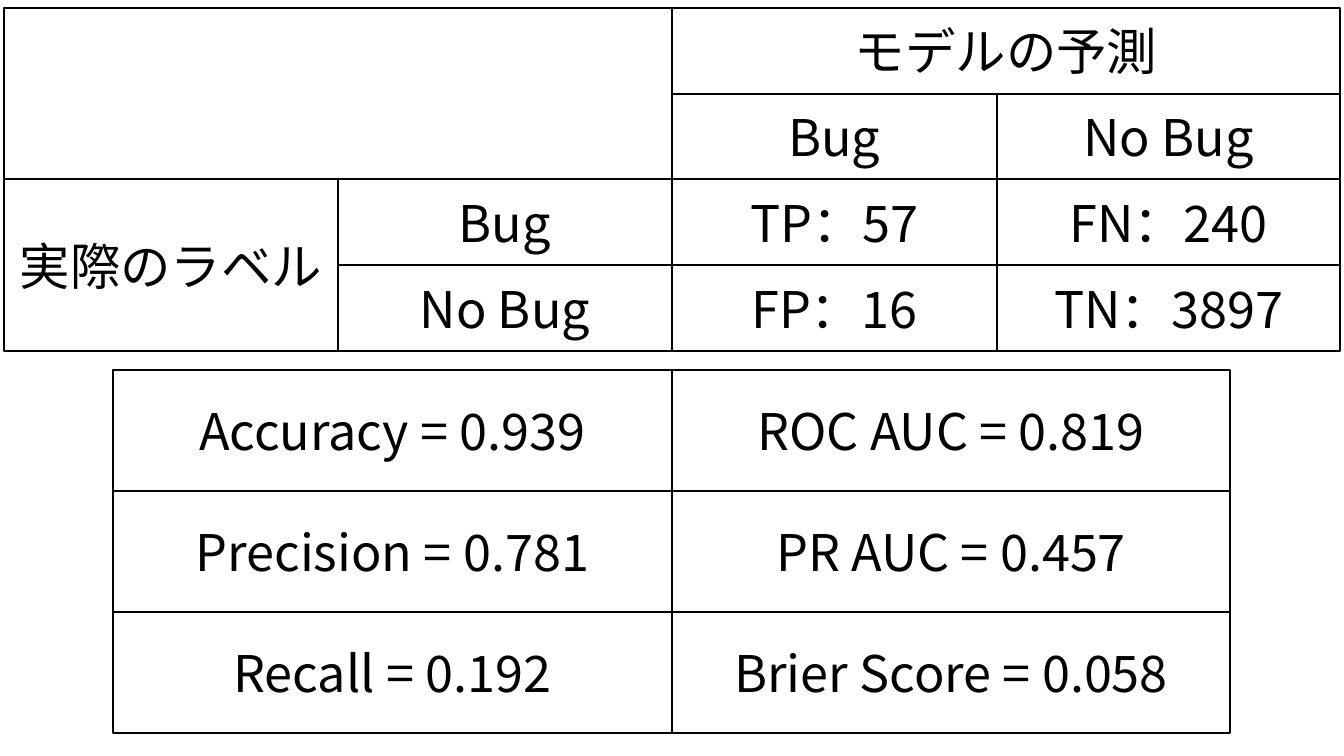
"""Build a slide with a bug prediction confusion matrix and its metrics."""
from dataclasses import dataclass

from lxml.etree import SubElement
from pptx import Presentation
from pptx.dml.color import RGBColor
from pptx.enum.shapes import MSO_SHAPE as Preset
from pptx.enum.text import MSO_ANCHOR as Anchor, PP_ALIGN as Align
from pptx.oxml.ns import qn
from pptx.util import Cm, Pt


@dataclass(frozen=True)
class Theme:
    ink: RGBColor = RGBColor(0, 0, 0)
    paper: RGBColor = RGBColor(255, 255, 255)
    font: str = "Noto Sans CJK JP"
    text_size: Pt = Pt(36)
    border: Pt = Pt(1.5)


theme = Theme()
presentation = Presentation()
presentation.slide_width = Cm(33.87)
presentation.slide_height = Cm(19.05)
slide = presentation.slides.add_slide(presentation.slide_layouts[6])


def add_cell(left, top, width, height, text):
    shape = slide.shapes.add_shape(Preset.RECTANGLE, Cm(left), Cm(top), Cm(width), Cm(height))
    shape.shadow.inherit = False
    shape.fill.solid()
    shape.fill.fore_color.rgb = theme.paper
    shape.line.color.rgb = theme.ink
    shape.line.width = theme.border
    if not text:
        return
    frame = shape.text_frame
    frame.word_wrap = True
    frame.vertical_anchor = Anchor.MIDDLE
    paragraph = frame.paragraphs[0]
    paragraph.text = text
    paragraph.alignment = Align.CENTER
    font = paragraph.font
    font.size = theme.text_size
    font.color.rgb = theme.ink
    font.name = theme.font
    defaults = paragraph._p.pPr.find(qn("a:defRPr"))
    SubElement(defaults, qn("a:ea"), typeface=theme.font)


column_edges = [0.1, 8.52, 16.93, 25.12, 33.78]
matrix_top, matrix_row = 0.2, 2.16
matrix_cells = [
    (2, 2, 1, 1, "TP：57"),
    (2, 3, 1, 1, "FN：240"),
    (3, 2, 1, 1, "FP：16"),
    (3, 3, 1, 1, "TN：3897"),
    (2, 1, 1, 1, "Bug"),
    (3, 1, 1, 1, "No Bug"),
    (2, 0, 2, 1, "実際のラベル"),
    (1, 2, 1, 1, "Bug"),
    (1, 3, 1, 1, "No Bug"),
    (0, 2, 1, 2, "モデルの予測"),
    (0, 0, 2, 2, ""),
]
for row, column, row_span, column_span, text in matrix_cells:
    left = column_edges[column]
    width = column_edges[column + column_span] - left
    add_cell(left, matrix_top + row * matrix_row, width, row_span * matrix_row, text)

metrics_left, metrics_top = 2.85, 9.32
metric_width, metric_height = 14.08, 3.05
metric_columns = [
    ["Accuracy = 0.939", "Precision = 0.781", "Recall = 0.192"],
    ["ROC AUC = 0.819", "PR AUC = 0.457", "Brier Score = 0.058"],
]
for column, metrics in enumerate(metric_columns):
    for row, text in enumerate(metrics):
        left = metrics_left + column * metric_width
        top = metrics_top + row * metric_height
        add_cell(left, top, metric_width, metric_height, text)

presentation.save("out.pptx")
